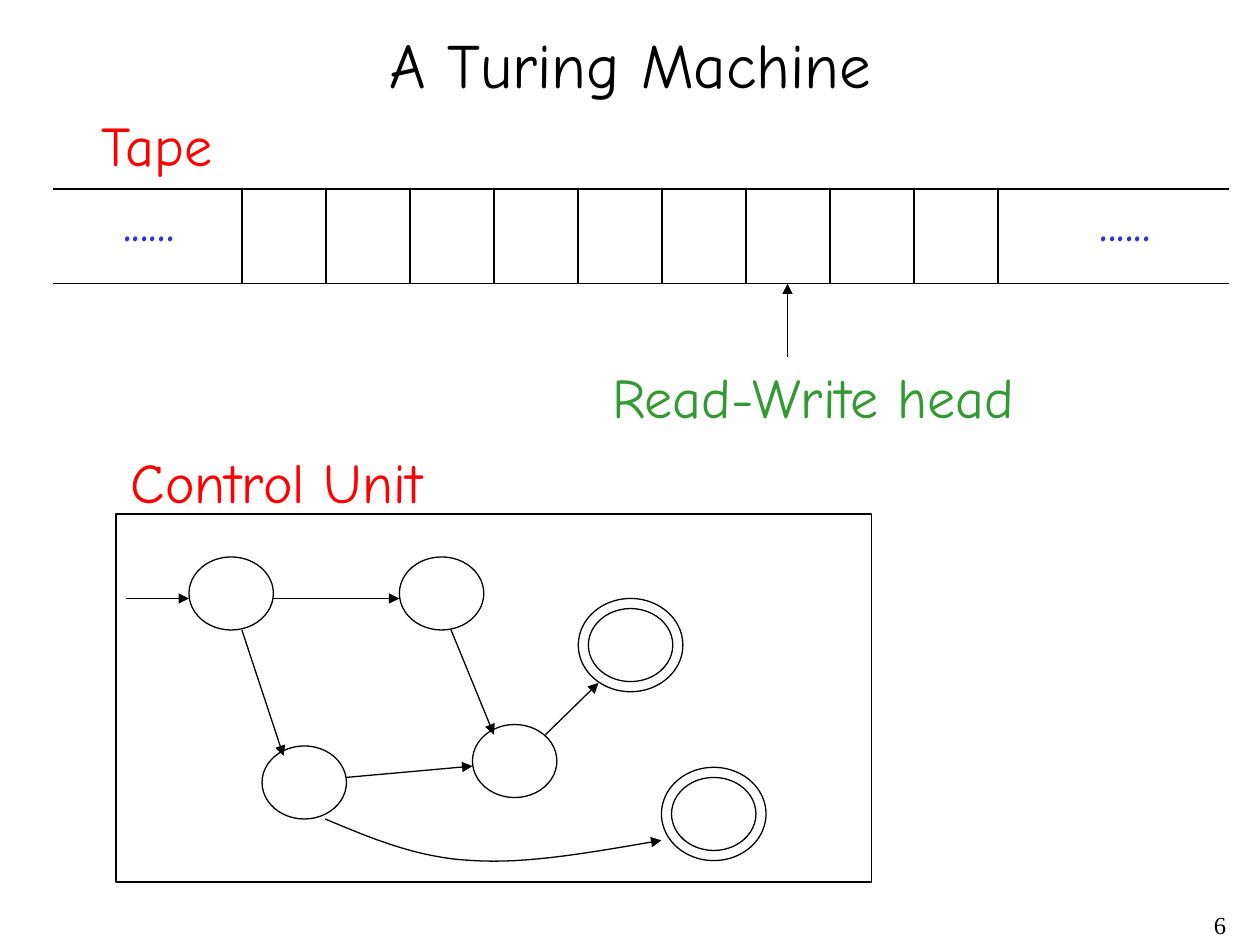
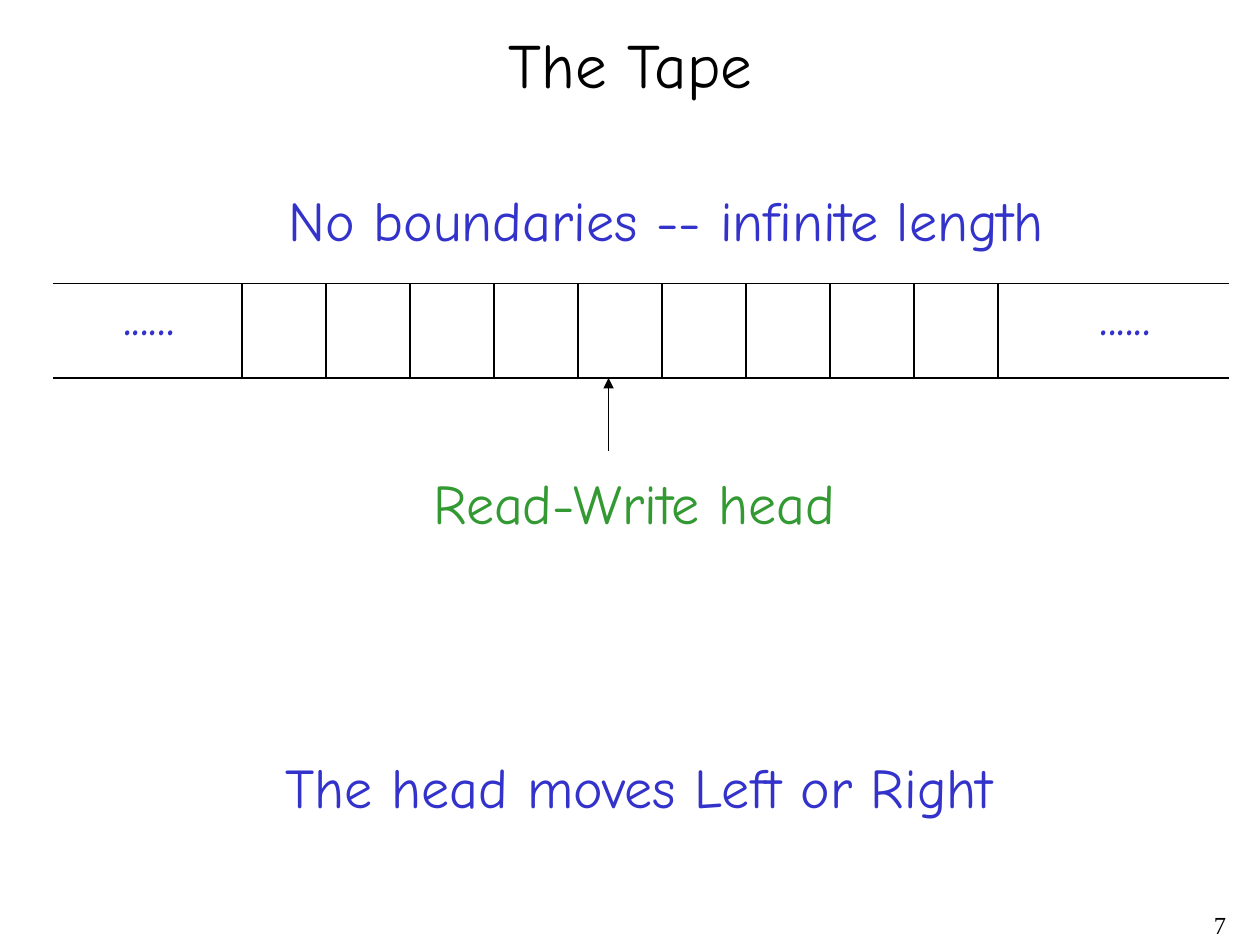
from dataclasses import dataclass
from typing import Any

from lxml import etree
from pptx import Presentation
from pptx import util as u
from pptx.dml.color import RGBColor
from pptx.enum import shapes, text
from pptx.oxml import ns
from pptx.slide import Slide

BLACK = RGBColor(0x00, 0x00, 0x00)
RED = RGBColor(0xFF, 0x00, 0x00)
GREEN = RGBColor(0x33, 0x99, 0x33)
BLUE = RGBColor(0x33, 0x33, 0xCC)

HAND_FONT = "Comic Neue"
NUMBER_FONT = "Times New Roman"
TITLE_FORMAT = {"name": HAND_FONT, "size": u.Pt(36)}
LABEL_FORMAT = {"name": HAND_FONT, "size": u.Pt(32)}
NUMBER_FORMAT = {"name": NUMBER_FONT, "size": u.Pt(14)}
LABEL_FRAME = {"word_wrap": False, "auto_size": text.MSO_AUTO_SIZE.SHAPE_TO_FIT_TEXT}
TITLE_FRAME = {"word_wrap": True, "auto_size": text.MSO_AUTO_SIZE.NONE,
               "vertical_anchor": text.MSO_ANCHOR.MIDDLE}

TAPE_LEFT, TAPE_RIGHT, TAPE_HEIGHT = 0.42, 9.75, 0.75
FIRST_DIVIDER, CELL_WIDTH, DIVIDERS = 1.92, 2 / 3, 10
HEAD_LENGTH = 0.58
LABEL_HEIGHT = 0.64
STATE_WIDTH, STATE_HEIGHT = 0.67, 0.58
RING_GAP = 0.08
CURVE_STEPS = 16

Point = tuple[float, float]


@dataclass(frozen=True)
class Label:
    wording: str
    left: float
    top: float
    width: float
    color: RGBColor


@dataclass(frozen=True)
class State:
    left: float
    top: float
    accepting: bool = False


@dataclass(frozen=True)
class Transition:
    start: Point
    end: Point


STATES = (
    State(1.5, 4.42),
    State(3.17, 4.42),
    State(3.75, 5.75),
    State(2.08, 5.92),
    State(4.67, 4.83, accepting=True),
    State(5.33, 6.17, accepting=True),
)
TRANSITIONS = (
    Transition((1, 4.75), (1.5, 4.75)),
    Transition((2.17, 4.75), (3.17, 4.75)),
    Transition((3.58, 5), (3.92, 5.83)),
    Transition((4.33, 5.83), (4.75, 5.42)),
    Transition((1.92, 5), (2.25, 6)),
    Transition((2.75, 6.17), (3.75, 6.08)),
)
LONG_TRANSITION = (
    ((2.58, 6.5), (2.94, 6.65), (3.31, 6.81), (3.75, 6.83)),
    ((3.75, 6.83), (4.19, 6.86), (4.72, 6.76), (5.25, 6.67)),
)
MACHINE_LABELS = (
    Label("Tape", 0.71, 0.83, 1.12, RED),
    Label("Read-Write head", 4.76, 2.83, 3.42, GREEN),
    Label("Control Unit", 0.94, 3.5, 2.67, RED),
)
TAPE_LABELS = (
    Label("Read-Write head", 3.34, 3.67, 3.42, GREEN),
    Label("No boundaries -- infinite length", 2.19, 1.42, 6.21, BLUE),
    Label(" The head moves Left or Right", 2.02, 5.92, 5.98, BLUE),
)


def apply(target: Any, values: dict[str, Any]) -> None:
    for name, value in values.items():
        setattr(target, name, value)


def style_outline(part: Any, arrow: bool = False) -> None:
    part.line.color.rgb = BLACK
    part.line.width = u.Pt(0.75)
    if arrow:
        outline = part._element.spPr.find(ns.qn("a:ln"))
        etree.SubElement(outline, ns.qn("a:tailEnd"), type="triangle", w="med", len="med")


def write(frame: Any, wording: str, font: dict[str, Any], color: RGBColor,
          paragraph_format: dict[str, Any]) -> None:
    paragraph = frame.paragraphs[0]
    apply(paragraph, paragraph_format)
    run = paragraph.add_run()
    run.text = wording
    apply(run.font, font)
    run.font.color.rgb = color


def draw_label(slide: Slide, label: Label) -> None:
    box = slide.shapes.add_textbox(u.Inches(label.left), u.Inches(label.top),
                                   u.Inches(label.width), u.Inches(LABEL_HEIGHT))
    apply(box.text_frame, LABEL_FRAME)
    write(box.text_frame, label.wording, LABEL_FORMAT, label.color, {"space_before": u.Pt(8)})


def draw_line(slide: Slide, start: Point, end: Point, arrow: bool = False) -> None:
    line = slide.shapes.add_connector(shapes.MSO_CONNECTOR.STRAIGHT,
                                      *(u.Inches(value) for value in (*start, *end)))
    style_outline(line, arrow)
    etree.SubElement(line._element.spPr, ns.qn("a:effectLst"))


def draw_outline(slide: Slide, kind: shapes.MSO_SHAPE, left: float, top: float,
                 width: float, height: float) -> None:
    outline = slide.shapes.add_shape(
        kind, *(u.Inches(value) for value in (left, top, width, height)))
    outline.fill.background()
    style_outline(outline)
    outline.shadow.inherit = False


def draw_state(slide: Slide, state: State) -> None:
    for gap in (0, RING_GAP) if state.accepting else (0,):
        draw_outline(slide, shapes.MSO_SHAPE.OVAL, state.left - gap, state.top - gap,
                     STATE_WIDTH + 2 * gap, STATE_HEIGHT + 2 * gap)


def curve_point(controls: tuple[Point, ...], t: float) -> Point:
    weights = ((1 - t) ** 3, 3 * t * (1 - t) ** 2, 3 * t ** 2 * (1 - t), t ** 3)
    x, y = (sum(w * p[axis] for w, p in zip(weights, controls)) for axis in (0, 1))
    return u.Inches(x), u.Inches(y)


def draw_long_transition(slide: Slide) -> None:
    points = [curve_point(controls, step / CURVE_STEPS)
              for controls in LONG_TRANSITION for step in range(1, CURVE_STEPS + 1)]
    builder = slide.shapes.build_freeform(*curve_point(LONG_TRANSITION[0], 0))
    builder.add_line_segments(points, close=False)
    curve = builder.convert_to_shape()
    curve.fill.background()
    style_outline(curve, arrow=True)
    curve.shadow.inherit = False


def draw_tape(slide: Slide, top: float, head_x: float) -> None:
    bottom = top + TAPE_HEIGHT
    for y in (top, bottom):
        draw_line(slide, (TAPE_LEFT, y), (TAPE_RIGHT, y))
    for index in range(DIVIDERS):
        x = FIRST_DIVIDER + index * CELL_WIDTH
        draw_line(slide, (x, top), (x, bottom))
    for left in (8.63, 0.88):
        draw_label(slide, Label("......", left, top - 0.08, 0.61, BLUE))
    draw_line(slide, (head_x, bottom + HEAD_LENGTH), (head_x, bottom), arrow=True)


def draw_control_unit(slide: Slide) -> None:
    draw_outline(slide, shapes.MSO_SHAPE.RECTANGLE, 0.92, 4.08, 6, 2.92)
    for state in STATES:
        draw_state(slide, state)
    for transition in TRANSITIONS:
        draw_line(slide, transition.start, transition.end, arrow=True)
    draw_long_transition(slide)


def add_titled_slide(deck: Any, heading: str, number: int) -> Slide:
    slide = deck.slides.add_slide(deck.slide_layouts[5])
    title = slide.shapes.title
    apply(title, {"left": u.Inches(0.17), "top": u.Inches(0.17),
                  "width": u.Inches(9.67), "height": u.Inches(0.67)})
    apply(title.text_frame, TITLE_FRAME)
    write(title.text_frame, heading, TITLE_FORMAT, BLACK, {"alignment": text.PP_ALIGN.CENTER})
    footer = slide.shapes.add_textbox(u.Inches(7.75), u.Inches(7.17),
                                      u.Inches(2.08), u.Inches(0.33))
    footer.text_frame.word_wrap = True
    write(footer.text_frame, str(number), NUMBER_FORMAT, BLACK,
          {"alignment": text.PP_ALIGN.RIGHT})
    return slide


def main() -> None:
    deck = Presentation()
    apply(deck, {"slide_width": u.Inches(10), "slide_height": u.Inches(7.5)})

    machine = add_titled_slide(deck, "A Turing Machine", 6)
    draw_control_unit(machine)
    draw_tape(machine, top=1.5, head_x=6.25)
    for label in MACHINE_LABELS:
        draw_label(machine, label)

    tape = add_titled_slide(deck, "The Tape", 7)
    draw_tape(tape, top=2.25, head_x=4.83)
    for label in TAPE_LABELS:
        draw_label(tape, label)

    deck.save("out.pptx")


if __name__ == "__main__":
    main()
